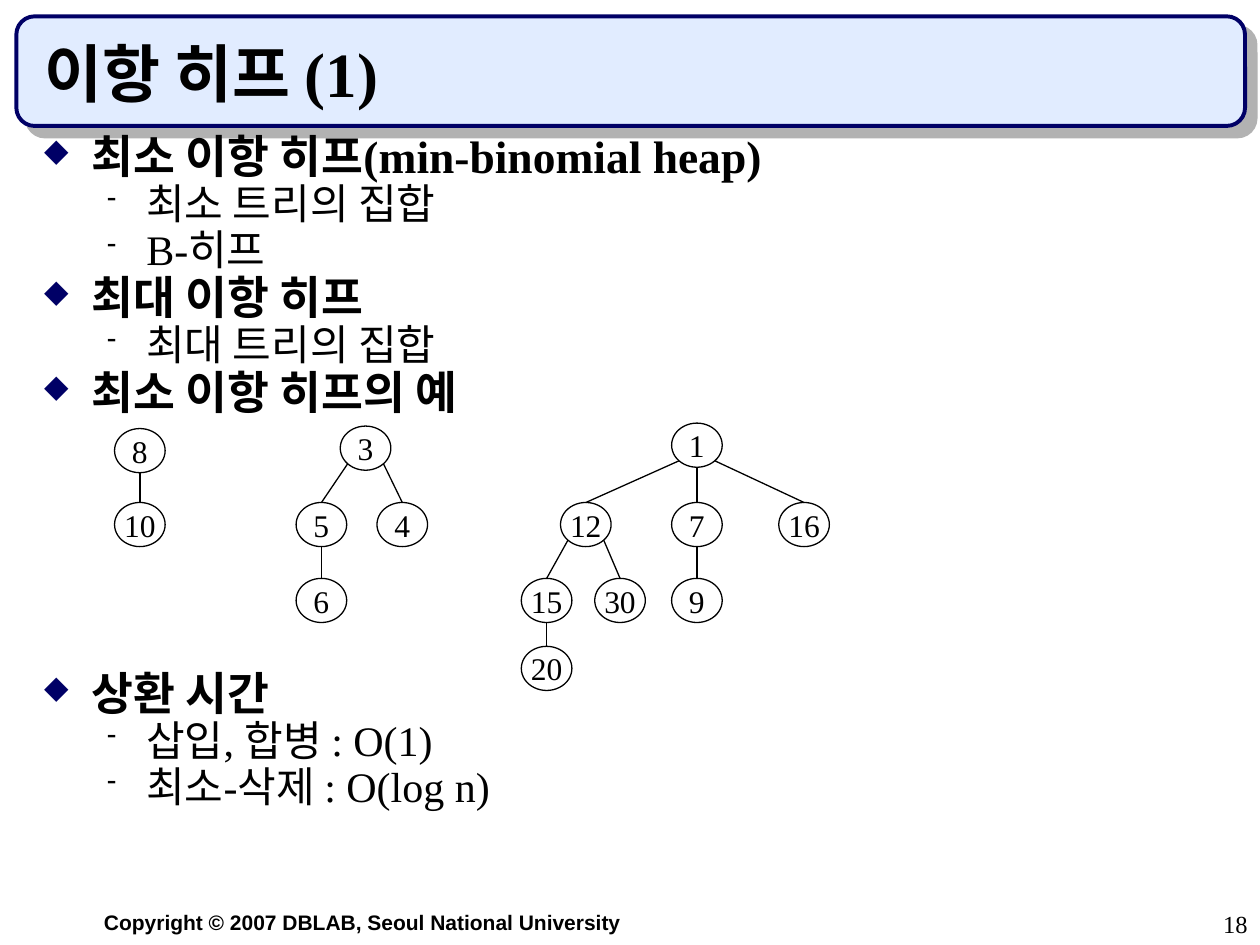
from math import sqrt
from lxml.etree import SubElement
from pptx import Presentation
from pptx.dml.color import RGBColor
from pptx.enum.shapes import MSO_CONNECTOR, MSO_SHAPE
from pptx.enum.text import MSO_ANCHOR, MSO_AUTO_SIZE, PP_ALIGN
from pptx.oxml.ns import qn
from pptx.util import Cm, Pt

THEME = {
    "black": RGBColor.from_string("000000"),
    "navy": RGBColor.from_string("000066"),
    "banner": RGBColor.from_string("E1ECFF"),
    "shadow": "B2B2B2",
    "title": {"name": "Times New Roman", "size": Pt(36), "bold": True},
    "node": {"name": "Times New Roman", "size": Pt(18), "bold": False},
    "number": {"name": "Times New Roman", "size": Pt(14), "bold": False},
    "footer": {"name": "Arial", "size": Pt(12), "bold": True},
    "levels": [
        {
            "font": {"name": "Times New Roman", "size": Pt(26), "bold": True},
            "before": 6.5, "left": 0.95, "hang": 0.95,
            "bullet": "◆", "color": "000066", "percent": 70,
        },
        {
            "font": {"name": "Times New Roman", "size": Pt(24), "bold": False},
            "before": 6, "left": 2.06, "hang": 0.79,
            "bullet": "-", "color": "000000", "percent": 65,
        },
    ],
}

TITLE = "이항 히프 (1)"
FOOTER = "Copyright © 2007 DBLAB, Seoul National University"
NUMBER = "18"
TREE_GAP = 150
OUTLINE = [
    (0, "최소 이항 히프(min-binomial heap)", 0),
    (1, "최소 트리의 집합", None),
    (1, "B-히프", None),
    (0, "최대 이항 히프", None),
    (1, "최대 트리의 집합", None),
    (0, "최소 이항 히프의 예", None),
    (0, "상환 시간", TREE_GAP),
    (1, "삽입, 합병 : O(1)", None),
    (1, "최소-삭제 : O(log n)", None),
]

NODE_W, NODE_H = 1.02, 0.89
ROW_2, ROW_3, ROW_4 = 10.13, 11.66, 13.03
NODES = {
    "8": (2.82, 8.64, None),
    "10": (2.82, ROW_2, "8"),
    "3": (7.37, 8.59, None),
    "5": (6.48, ROW_2, "3"),
    "4": (8.11, ROW_2, "3"),
    "6": (6.48, ROW_3, "5"),
    "1": (14.05, 8.53, None),
    "12": (11.81, ROW_2, "1"),
    "7": (14.05, ROW_2, "1"),
    "16": (16.21, ROW_2, "1"),
    "15": (11.02, ROW_3, "12"),
    "30": (12.5, ROW_3, "12"),
    "9": (14.05, ROW_3, "7"),
    "20": (11.02, ROW_4, "15"),
}


def apply(obj, values):
    for key, value in values.items():
        setattr(obj, key, value)


def write(p, text, font):
    r = p.add_run()
    r.text = text
    apply(r.font, font)
    r.font.color.rgb = THEME["black"]


def add_bullet(p, level):
    pPr = p._p.get_or_add_pPr()
    pPr.set("marL", str(Cm(level["left"])))
    pPr.set("indent", str(-Cm(level["hang"])))
    clr = SubElement(pPr, qn("a:buClr"))
    SubElement(clr, qn("a:srgbClr"), val=level["color"])
    SubElement(pPr, qn("a:buSzPct"), val=str(level["percent"] * 1000))
    SubElement(pPr, qn("a:buChar"), char=level["bullet"])


def add_label(s, box, text, font, align):
    tf = s.shapes.add_textbox(*map(Cm, box)).text_frame
    tf.word_wrap = True
    tf.paragraphs[0].alignment = align
    write(tf.paragraphs[0], text, font)


def add_banner(s):
    sp = s.shapes.add_shape(MSO_SHAPE.ROUNDED_RECTANGLE, Cm(0.33), Cm(0.33), Cm(24.77), Cm(2.21))
    sp.fill.solid()
    sp.fill.fore_color.rgb = THEME["banner"]
    sp.line.color.rgb = THEME["navy"]
    sp.line.width = Pt(2.25)
    effects = SubElement(sp._element.spPr, qn("a:effectLst"))
    shadow = SubElement(effects, qn("a:outerShdw"), dist=str(Pt(8.5)), dir=str(45 * 60000),
                        algn="ctr", rotWithShape="0")
    SubElement(shadow, qn("a:srgbClr"), val=THEME["shadow"])


def add_title(s):
    title = s.shapes.title
    apply(title, {"left": Cm(0.64), "top": Cm(0.64), "width": Cm(23.93), "height": Cm(1.7)})
    tf = title.text_frame
    apply(tf, {"vertical_anchor": MSO_ANCHOR.BOTTOM, "auto_size": MSO_AUTO_SIZE.NONE})
    tf.paragraphs[0].alignment = PP_ALIGN.LEFT
    write(tf.paragraphs[0], TITLE, THEME["title"])
    s.shapes._spTree.append(title._element)


def add_outline(s):
    tf = s.shapes.add_textbox(Cm(0.64), Cm(2.75), Cm(23.93), Cm(14.81)).text_frame
    tf.word_wrap = True
    for i, (depth, text, before) in enumerate(OUTLINE):
        level = THEME["levels"][depth]
        p = tf.add_paragraph() if i else tf.paragraphs[0]
        add_bullet(p, level)
        space = level["before"] if before is None else before
        apply(p, {"level": depth, "line_spacing": 0.7, "space_before": Pt(space)})
        write(p, text, level["font"])


def add_node(s, text, x, y):
    sp = s.shapes.add_shape(MSO_SHAPE.OVAL, Cm(x - NODE_W / 2), Cm(y), Cm(NODE_W), Cm(NODE_H))
    sp.shadow.inherit = False
    sp.fill.background()
    sp.line.color.rgb = THEME["black"]
    sp.line.width = Pt(0.75)
    tf = sp.text_frame
    apply(tf, {"word_wrap": False, "vertical_anchor": MSO_ANCHOR.MIDDLE})
    tf.paragraphs[0].alignment = PP_ALIGN.CENTER
    write(tf.paragraphs[0], text, THEME["node"])


def add_edge(s, parent, child):
    px, py, _ = NODES[parent]
    cx, cy, _ = NODES[child]
    side = (cx > px) - (cx < px)
    drop = 1 / sqrt(2) if side else 1
    start_x = px + side * drop * NODE_W / 2
    start_y = py + (1 + drop) * NODE_H / 2
    line = s.shapes.add_connector(MSO_CONNECTOR.STRAIGHT, Cm(start_x), Cm(start_y), Cm(cx), Cm(cy))
    line.line.color.rgb = THEME["black"]
    line.line.width = Pt(0.75)
    SubElement(line._element.spPr, qn("a:effectLst"))


def main():
    prs = Presentation()
    apply(prs, {"slide_width": Cm(25.4), "slide_height": Cm(19.05)})
    s = prs.slides.add_slide(prs.slide_layouts[5])
    add_banner(s)
    add_title(s)
    add_outline(s)
    for text, (x, y, parent) in NODES.items():
        add_node(s, text, x, y)
        if parent:
            add_edge(s, parent, text)
    add_label(s, (0.64, 18.21, 13.34, 0.76), FOOTER, THEME["footer"], PP_ALIGN.CENTER)
    add_label(s, (20.12, 18.21, 5.28, 0.84), NUMBER, THEME["number"], PP_ALIGN.RIGHT)
    prs.save("out.pptx")


if __name__ == "__main__":
    main()
